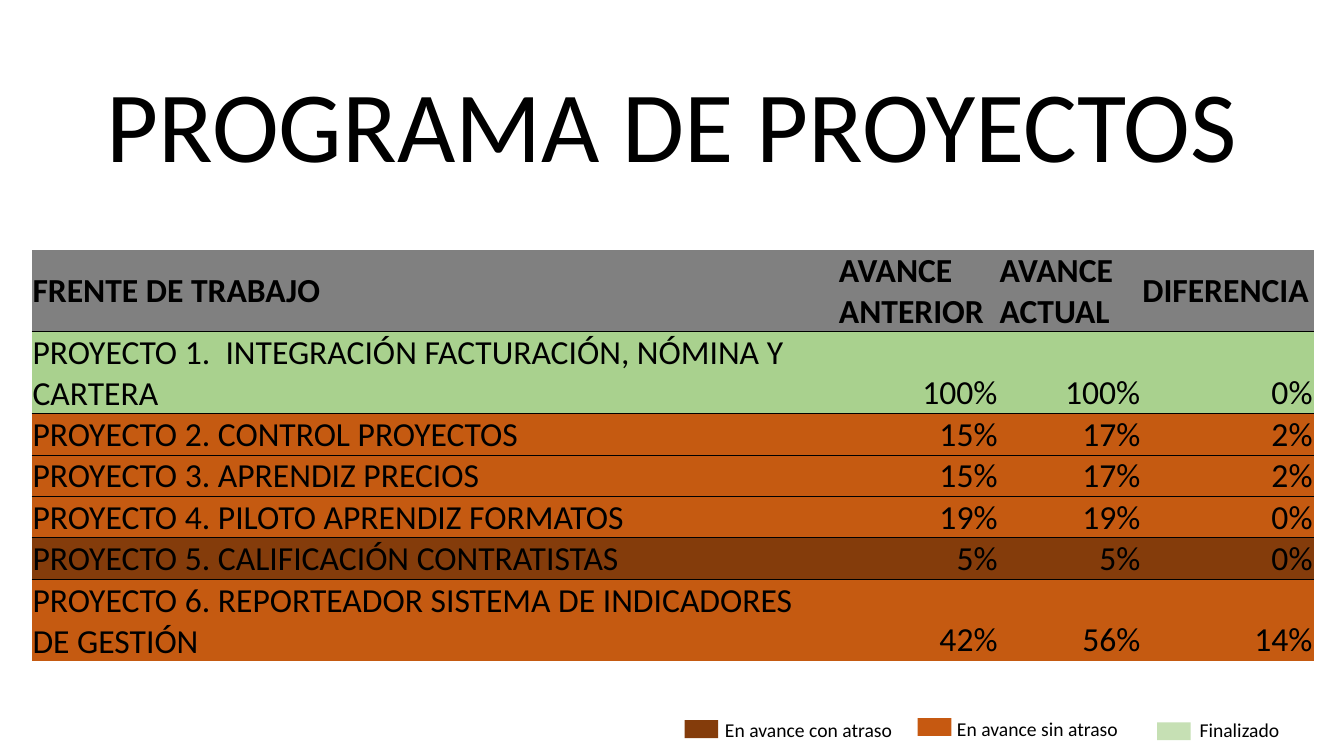
import pptx
import pptx.util
import pptx.enum.text
import pptx.enum.shapes
import pptx.dml.color
import pptx.oxml
import pptx.oxml.ns

PX = 9525
ALIGN = pptx.enum.text.PP_ALIGN
ANCHOR = pptx.enum.text.MSO_ANCHOR
RECT = pptx.enum.shapes.MSO_SHAPE.RECTANGLE
HUES = {
    "ink": "000000", "head": "808080", "done": "A9D18E", "on": "C55A11",
    "late": "843C0B", "key on": "C65911", "key done": "C6E0B4",
}


def hue(name):
    return pptx.dml.color.RGBColor.from_string(HUES[name])


def write(frame, text, size, align=ALIGN.LEFT, bold=False):
    frame.word_wrap = True
    para = frame.paragraphs[0]
    para.text = text
    para.alignment = align
    look = {"name": "Calibri", "size": pptx.util.Pt(size), "bold": bold}
    for key, value in look.items():
        setattr(para.runs[0].font, key, value)
    para.runs[0].font.color.rgb = hue("ink")


deck = pptx.Presentation()
deck.slide_width = 1280 * PX
deck.slide_height = 720 * PX
slide = deck.slides.add_slide(deck.slide_layouts[6])
shapes = slide.shapes

title = shapes.add_textbox(59 * PX, 54 * PX, 1162 * PX, 126 * PX)
write(title.text_frame, "PROGRAMA DE PROYECTOS", 72, ALIGN.CENTER)

rows = [
    ("head", 78, "FRENTE DE TRABAJO", "AVANCE ANTERIOR", "AVANCE ACTUAL", "DIFERENCIA"),
    ("done", 78, "PROYECTO 1.  INTEGRACIÓN FACTURACIÓN, NÓMINA Y CARTERA", "100%", "100%", "0%"),
    ("on", 39, "PROYECTO 2. CONTROL PROYECTOS", "15%", "17%", "2%"),
    ("on", 39, "PROYECTO 3. APRENDIZ PRECIOS", "15%", "17%", "2%"),
    ("on", 39, "PROYECTO 4. PILOTO APRENDIZ FORMATOS", "19%", "19%", "0%"),
    ("late", 39, "PROYECTO 5. CALIFICACIÓN CONTRATISTAS", "5%", "5%", "0%"),
    ("on", 78, "PROYECTO 6. REPORTEADOR SISTEMA DE INDICADORES DE GESTIÓN", "42%", "56%", "14%"),
]
widths = [768, 153, 136, 164]
high = sum(row[1] for row in rows)
table = shapes.add_table(
    len(rows), len(widths), 30 * PX, 238 * PX, sum(widths) * PX, high * PX
).table
table.horz_banding = False
for col, width in zip(table.columns, widths):
    col.width = width * PX

space = pptx.oxml.ns.nsdecls("a")
blank = "<a:noFill/>"
solid = f'<a:solidFill><a:srgbClr val="{HUES["ink"]}"/></a:solidFill>'
for r, (state, height, *texts) in enumerate(rows):
    table.rows[r].height = height * PX
    head = r == 0
    sides = {
        "L": blank, "R": blank,
        "T": blank if head else solid,
        "B": solid if r < len(rows) - 1 else blank,
    }
    for c, text in enumerate(texts):
        cell = table.cell(r, c)
        align = ALIGN.LEFT if head or c == 0 else ALIGN.RIGHT
        write(cell.text_frame, text, 24, align, head)
        form = {
            "margin_left": PX, "margin_right": PX, "margin_top": PX,
            "margin_bottom": 0,
            "vertical_anchor": ANCHOR.MIDDLE if head else ANCHOR.BOTTOM,
        }
        for key, value in form.items():
            setattr(cell, key, value)
        props = cell._tc.get_or_add_tcPr()
        for side, paint in sides.items():
            props.append(pptx.oxml.parse_xml(
                f'<a:ln{side} {space} w="6350">{paint}</a:ln{side}>'))
        cell.fill.solid()
        cell.fill.fore_color.rgb = hue(state)

legend = [
    ("late", 652, 686, "En avance con atraso", 681, 679, 185),
    ("key on", 874, 684, "En avance sin atraso", 902, 678, 185),
    ("key done", 1102, 688, "Finalizado", 1133, 679, 98),
]
for state, left, top, text, x, y, width in legend:
    key = shapes.add_shape(RECT, left * PX, top * PX, 32 * PX, 17 * PX)
    key.shadow.inherit = False
    key.fill.solid()
    key.fill.fore_color.rgb = hue(state)
    key.line.fill.background()
    label = shapes.add_textbox(x * PX, y * PX, width * PX, 33 * PX)
    write(label.text_frame, text, 14)

deck.save("out.pptx")
